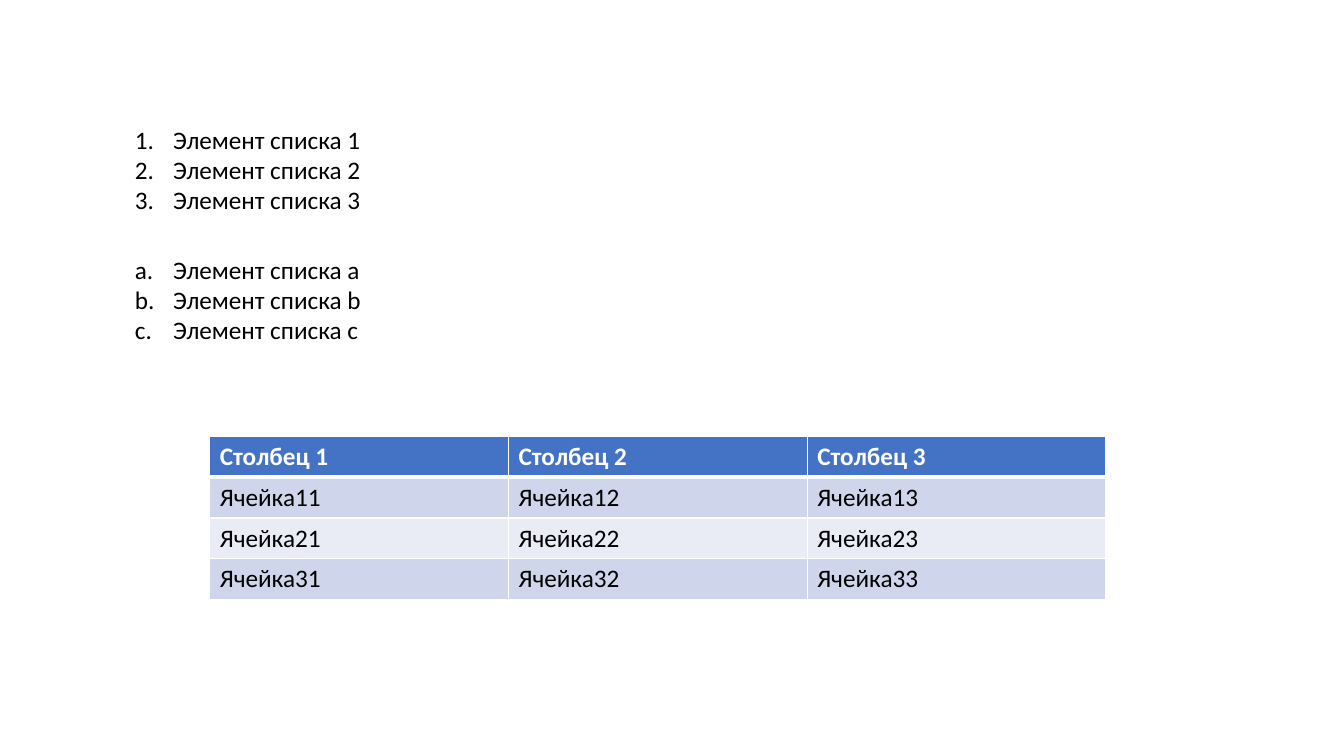
from dataclasses import dataclass

from lxml.etree import SubElement as Sub
from pptx import Presentation
from pptx.dml.color import RGBColor
from pptx.enum.text import MSO_AUTO_SIZE as AutoSize
from pptx.oxml.ns import qn
from pptx.slide import Slide
from pptx.table import _Cell as Cell
from pptx.text.text import _Paragraph as Para
from pptx.util import Inches, Pt

BLACK, WHITE, BLUE = "000000", "FFFFFF", "4472C4"
BANDS = ("CFD5EA", "E9EBF5")
FONT = {"name": "Calibri", "size": Pt(18)}


@dataclass
class NumList:
    top: float
    scheme: str
    marks: str


@dataclass
class Grid:
    left: float
    top: float
    width: float
    height: float
    rows: list[list[str]]


LISTS = [NumList(2.47, "alphaLcPeriod", "abc"), NumList(1.18, "arabicPeriod", "123")]
GRID = Grid(2.08, 4.33, 8.89, 1.62, [
    [f"Столбец {col}" for col in range(1, 4)],
    *([f"Ячейка{row}{col}" for col in range(1, 4)] for row in range(1, 4)),
])


def color(code: str) -> RGBColor:
    return RGBColor.from_string(code)


def write(para: Para, text: str, ink: str = BLACK, bold: bool = False) -> None:
    run = para.add_run()
    run.text = text
    for name, value in {**FONT, "bold": bold}.items():
        setattr(run.font, name, value)
    run.font.color.rgb = color(ink)


def add_list(slide: Slide, item: NumList) -> None:
    box = slide.shapes.add_textbox(Inches(1.24), Inches(item.top), Inches(10.56), Inches(1.01))
    frame = box.text_frame
    frame.word_wrap = True
    frame.auto_size = AutoSize.SHAPE_TO_FIT_TEXT
    for i, mark in enumerate(item.marks):
        para = frame.add_paragraph() if i else frame.paragraphs[0]
        props = para._p.get_or_add_pPr()
        for name, value in {"marL": 0.38, "indent": -0.38}.items():
            props.set(name, str(Inches(value)))
        Sub(props, qn("a:buAutoNum"), type=item.scheme)
        write(para, f"Элемент списка {mark}")


def add_edges(cell: Cell, top: int, bottom: int) -> None:
    """Draw white cell borders, with widths in points."""
    props = cell._tc.get_or_add_tcPr()
    for side, width in {"L": 1, "R": 1, "T": top, "B": bottom}.items():
        line = Sub(props, qn(f"a:ln{side}"), w=str(Pt(width)))
        Sub(Sub(line, qn("a:solidFill")), qn("a:srgbClr"), val=WHITE)


def add_grid(slide: Slide, grid: Grid) -> None:
    place = map(Inches, (grid.left, grid.top, grid.width, grid.height))
    table = slide.shapes.add_table(len(grid.rows), len(grid.rows[0]), *place).table
    for r, texts in enumerate(grid.rows):
        head = r == 0
        for c, text in enumerate(texts):
            cell = table.cell(r, c)
            add_edges(cell, top=3 if r == 1 else 1, bottom=3 if head else 1)
            cell.fill.solid()
            cell.fill.fore_color.rgb = color(BLUE if head else BANDS[(r - 1) % 2])
            write(cell.text_frame.paragraphs[0], text, WHITE if head else BLACK, head)


def main() -> None:
    deck = Presentation()
    deck.slide_width, deck.slide_height = Inches(13.33), Inches(7.5)
    slide = deck.slides.add_slide(deck.slide_layouts[6])
    for item in LISTS:
        add_list(slide, item)
    add_grid(slide, GRID)
    deck.save("out.pptx")


if __name__ == "__main__":
    main()
